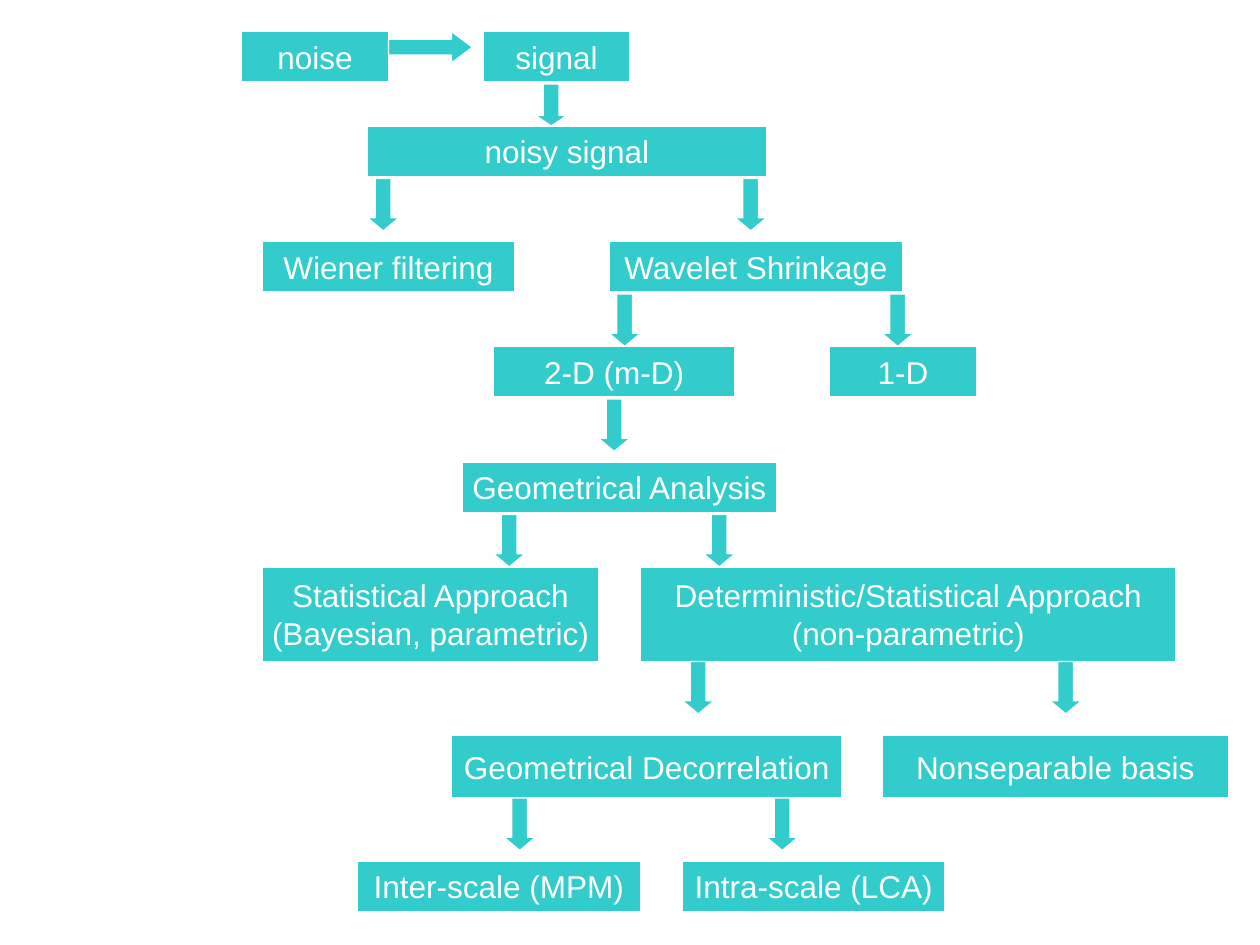
from dataclasses import dataclass

import pptx
import pptx.dml.color
import pptx.enum.shapes
import pptx.enum.text
import pptx.util

Pt = pptx.util.Pt
Kind = pptx.enum.shapes.MSO_SHAPE
Rgb = pptx.dml.color.RGBColor


@dataclass(frozen=True)
class Theme:
    fill: str = "33CCCC"
    line: str = "FFFFFF"
    text: str = "FFFFFF"
    font: str = "Arial"
    size: float = 18
    edge: float = 0.75


@dataclass(frozen=True)
class Box:
    text: str
    left: float
    top: float
    width: float
    height: float = 28.8


@dataclass(frozen=True)
class Arrow:
    left: float
    top: float
    span: float = 30
    right: bool = False


THEME = Theme()
THICK = 18  # arrow thickness across its direction

# Boxes, row by row
BOXES = [
    Box("noise", 138, 18, 84),
    Box("signal", 276, 18, 84),
    Box("noisy signal", 210, 72, 228),
    Box("Wiener filtering", 150, 138, 144),
    Box("Wavelet Shrinkage", 348, 138, 168),
    Box("2-D (m-D)", 282, 198, 138),
    Box("1-D", 474, 198, 84),
    Box("Geometrical Analysis", 264, 264, 180),
    Box("Statistical Approach\n(Bayesian, parametric)", 150, 324, 192, 54),
    Box("Deterministic/Statistical Approach\n(non-parametric)",
        366, 324, 306, 54),
    Box("Geometrical Decorrelation", 258, 420, 223.2, 36),
    Box("Nonseparable basis", 504, 420, 198, 36),
    Box("Inter-scale (MPM)", 204, 492, 162),
    Box("Intra-scale (LCA)", 390, 492, 150),
]

# Arrows between the rows
ARROWS = [
    Arrow(222, 18, 48, right=True),
    Arrow(306, 48, 24),
    Arrow(210, 102), Arrow(420, 102),
    Arrow(348, 168), Arrow(504, 168),
    Arrow(342, 228),
    Arrow(282, 294), Arrow(402, 294),
    Arrow(390, 378), Arrow(600, 378),
    Arrow(288, 456), Arrow(438, 456),
]


def add_form(slide, kind, left: float, top: float, width: float,
             height: float):
    """Add a shape with the common fill and outline."""
    form = slide.shapes.add_shape(
        kind, Pt(left), Pt(top), Pt(width), Pt(height))
    form.shadow.inherit = False
    form.fill.solid()
    form.fill.fore_color.rgb = Rgb.from_string(THEME.fill)
    form.line.color.rgb = Rgb.from_string(THEME.line)
    form.line.width = Pt(THEME.edge)
    return form


def put_text(form, text: str, *, size: float = THEME.size,
             color: str = THEME.text, font: str = THEME.font,
             align=pptx.enum.text.PP_ALIGN.CENTER) -> None:
    """Write one paragraph for each line of text."""
    frame = form.text_frame
    frame.word_wrap = False
    frame.vertical_anchor = pptx.enum.text.MSO_ANCHOR.MIDDLE
    frame.text = text
    for para in frame.paragraphs:
        para.alignment = align
        para.font.name = font
        para.font.size = Pt(size)
        para.font.color.rgb = Rgb.from_string(color)


def draw_box(slide, box: Box) -> None:
    form = add_form(slide, Kind.RECTANGLE, box.left, box.top,
                    box.width, box.height)
    put_text(form, box.text)


def draw_arrow(slide, arrow: Arrow) -> None:
    """Draw a block arrow whose head takes a quarter of its length."""
    if arrow.right:
        kind, width, height = Kind.RIGHT_ARROW, arrow.span, THICK
    else:
        kind, width, height = Kind.DOWN_ARROW, THICK, arrow.span
    form = add_form(slide, kind, arrow.left, arrow.top, width, height)
    form.adjustments[0] = 0.5
    form.adjustments[1] = arrow.span / 4 / THICK


def main() -> None:
    deck = pptx.Presentation()
    deck.slide_width, deck.slide_height = Pt(720), Pt(540)
    slide = deck.slides.add_slide(deck.slide_layouts[6])
    for box in BOXES:
        draw_box(slide, box)
    for arrow in ARROWS:
        draw_arrow(slide, arrow)
    deck.save("out.pptx")


if __name__ == "__main__":
    main()
